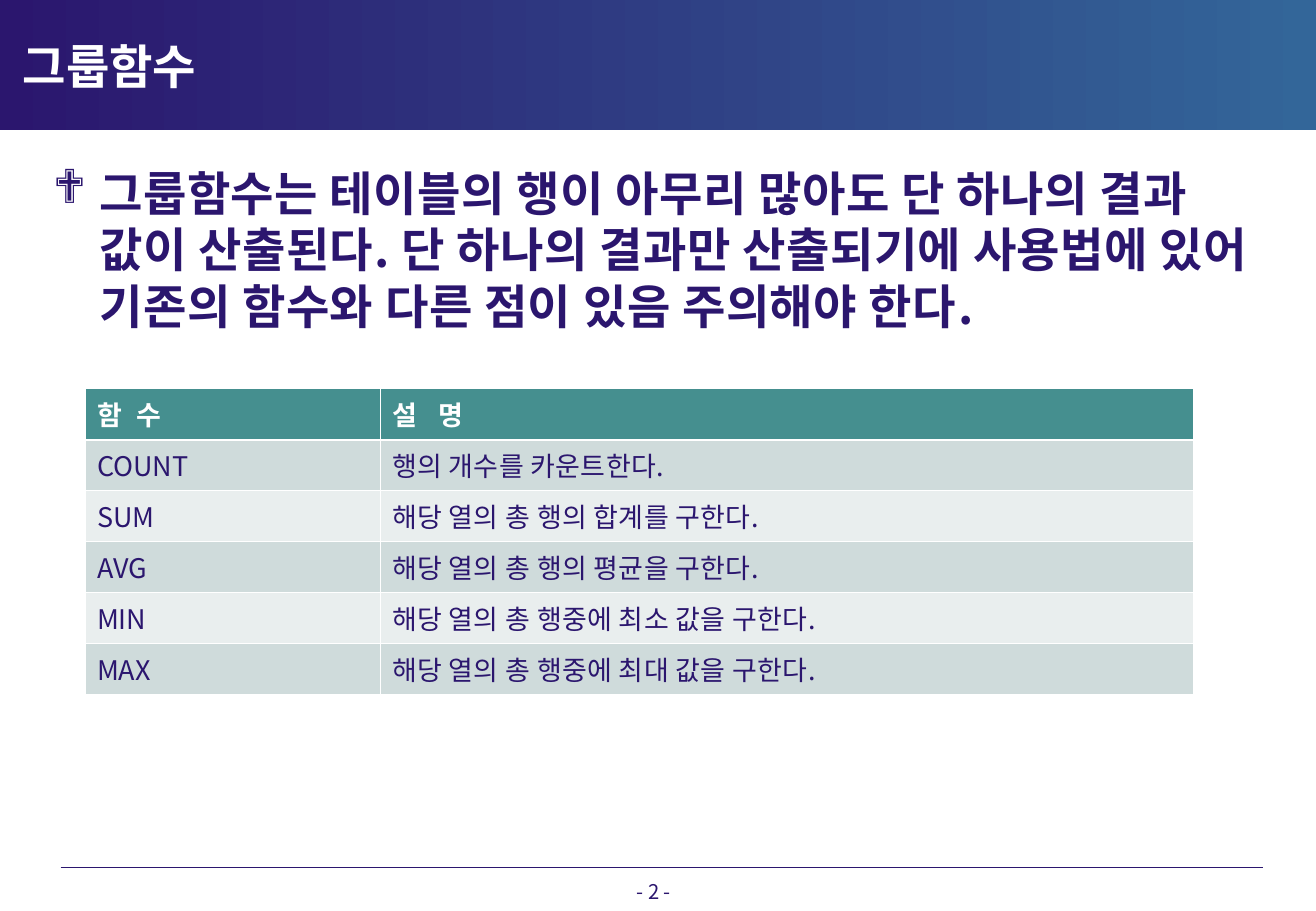
from dataclasses import dataclass

from lxml import etree
from pptx import Presentation
from pptx.dml.color import RGBColor
from pptx.enum.shapes import MSO_CONNECTOR, MSO_SHAPE
from pptx.enum.text import MSO_ANCHOR, PP_ALIGN
from pptx.oxml.ns import qn
from pptx.util import Inches, Pt

RECTANGLE = MSO_SHAPE.RECTANGLE
STRAIGHT = MSO_CONNECTOR.STRAIGHT
TOP, MIDDLE = MSO_ANCHOR.TOP, MSO_ANCHOR.MIDDLE
LEFT, CENTER = PP_ALIGN.LEFT, PP_ALIGN.CENTER


@dataclass(frozen=True)
class Theme:
    font: str = "Noto Sans CJK KR"
    bullet_font: str = "Wingdings"
    navy: str = "2B166E"
    blue: str = "336699"
    teal: str = "458F8F"
    band_dark: str = "CFDBDB"
    band_light: str = "E9EEEE"
    white: str = "FFFFFF"
    heading_size: int = 28
    table_size: int = 16
    number_size: int = 12
    thin: float = 0.45
    thick: float = 1.47


THEME = Theme()
ROW_HEIGHT = 0.42
HEADERS = [("함 수", 2.7), ("설 명", 4.8)]
COLUMNS = [(2.43, 0), (6.7, 0.25)]
FUNCTIONS = [
    ("COUNT", "행의 개수를 카운트한다."),
    ("SUM", "해당 열의 총 행의 합계를 구한다."),
    ("AVG", "해당 열의 총 행의 평균을 구한다."),
    ("MIN", "해당 열의 총 행중에 최소 값을 구한다."),
    ("MAX", "해당 열의 총 행중에 최대 값을 구한다."),
]
EXPLANATION = (
    "그룹함수는 테이블의 행이 아무리 많아도 단 하나의 결과 값이 산출된다. "
    "단 하나의 결과만 산출되기에 사용법에 있어 기존의 함수와 다른 점이 있음 주의해야 한다."
)


def color(value):
    return RGBColor.from_string(value)


def write(frame, text, size, ink=THEME.navy, bold=False, align=LEFT, tracking=0):
    para = frame.paragraphs[0]
    para.alignment = align
    span = para.add_run()
    span.text = text
    span.font.name = THEME.font
    span.font.size = Pt(size)
    span.font.bold = bold
    span.font.color.rgb = color(ink)
    properties = span._r.get_or_add_rPr()
    etree.SubElement(properties, qn("a:ea"), typeface=THEME.font)
    if tracking:
        properties.set("spc", str(round(tracking * 100)))
    return para


def add_text(page, area, text, size, anchor=TOP, **style):
    box = page.shapes.add_textbox(*map(Inches, area))
    box.text_frame.word_wrap = True
    box.text_frame.vertical_anchor = anchor
    return write(box.text_frame, text, size, **style)


def set_bullet(para, mark, indent):
    properties = para._p.get_or_add_pPr()
    properties.set("marL", str(Inches(indent)))
    properties.set("indent", str(-Inches(indent)))
    tint = etree.SubElement(properties, qn("a:buClr"))
    etree.SubElement(tint, qn("a:srgbClr"), val=THEME.navy)
    etree.SubElement(properties, qn("a:buFont"), typeface=THEME.bullet_font, charset="2")
    etree.SubElement(properties, qn("a:buChar"), char=mark)


def add_banner(page):
    banner = page.shapes.add_shape(RECTANGLE, 0, 0, Inches(10.84), Inches(1.07))
    banner.shadow.inherit = False
    banner.line.fill.background()
    banner.fill.gradient()
    banner.fill.gradient_angle = 0
    for stop, position, tint in zip(banner.fill.gradient_stops, (0, 1), (THEME.navy, THEME.blue)):
        stop.position = position
        stop.color.rgb = color(tint)


def add_rule(page):
    rule = page.shapes.add_connector(STRAIGHT, Inches(0.5), Inches(7.14), Inches(10.4), Inches(7.14))
    rule.line.color.rgb = color(THEME.navy)
    rule.line.width = Pt(0.75)
    etree.SubElement(rule._element.spPr, qn("a:effectLst"))


def set_borders(cell, top, bottom):
    properties = cell._tc.get_or_add_tcPr()
    for side, width in zip("LRTB", (THEME.thin, THEME.thin, top, bottom)):
        border = etree.SubElement(properties, qn(f"a:ln{side}"), w=str(Pt(width)))
        fill = etree.SubElement(border, qn("a:solidFill"))
        etree.SubElement(fill, qn("a:srgbClr"), val=THEME.white)


def fill_cell(cell, row, text, **style):
    top = THEME.thick if row == 1 else THEME.thin
    bottom = THEME.thick if row == 0 else THEME.thin
    set_borders(cell, top, bottom)
    band = THEME.band_dark if row % 2 else THEME.band_light
    cell.fill.solid()
    cell.fill.fore_color.rgb = color(band if row else THEME.teal)
    cell.vertical_anchor = MIDDLE
    write(cell.text_frame, text, THEME.table_size, **style)


def add_function_table(page):
    rows = len(FUNCTIONS) + 1
    area = map(Inches, (0.7, 3.2, 9.13, rows * ROW_HEIGHT))
    table = page.shapes.add_table(rows, len(COLUMNS), *area).table
    table.horz_banding = False
    for column, (width, _) in zip(table.columns, COLUMNS):
        column.width = Inches(width)
    for column, (text, tracking) in enumerate(HEADERS):
        fill_cell(table.cell(0, column), 0, text, ink=THEME.white, bold=True, tracking=tracking)
    for row, entry in enumerate(FUNCTIONS, 1):
        for column, (text, (_, tracking)) in enumerate(zip(entry, COLUMNS)):
            fill_cell(table.cell(row, column), row, text, tracking=tracking)


def main():
    deck = Presentation()
    deck.slide_width, deck.slide_height = Inches(10.84), Inches(7.5)
    page = deck.slides.add_slide(deck.slide_layouts[6])
    add_rule(page)
    add_banner(page)
    add_text(page, (4.32, 7.19, 2.13, 0.22), "- 2 -", THEME.number_size, align=CENTER)
    add_text(page, (0.09, 0.23, 8.13, 0.62), "그룹함수", THEME.heading_size,
             anchor=MIDDLE, ink=THEME.white, bold=True)
    explanation = add_text(page, (0.34, 1.3, 10.07, 5.57), EXPLANATION,
                           THEME.heading_size, bold=True, tracking=0.33)
    explanation.space_before = Pt(7)
    set_bullet(explanation, "❖", 0.38)
    add_function_table(page)
    deck.save("out.pptx")


if __name__ == "__main__":
    main()
